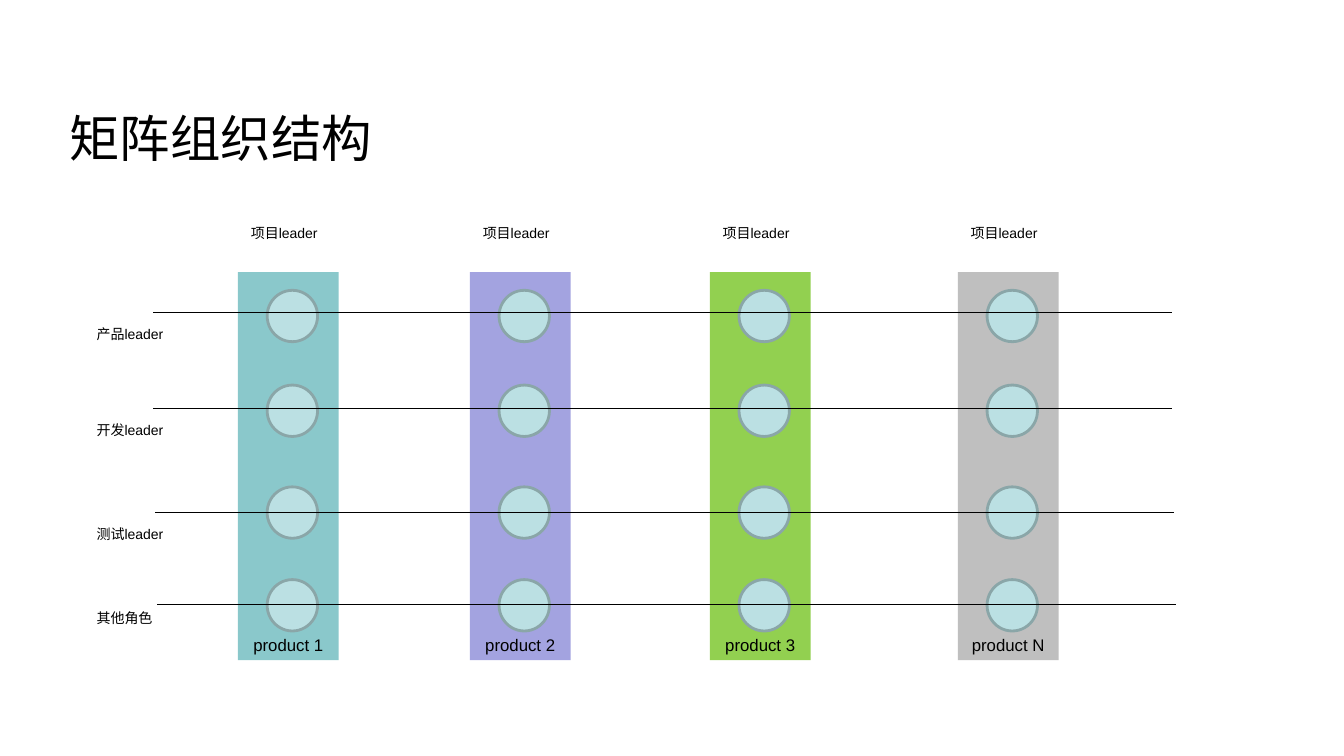
from typing import NamedTuple

from lxml import etree
from pptx import Presentation
from pptx.dml.color import RGBColor
from pptx.enum.shapes import MSO_CONNECTOR, MSO_SHAPE
from pptx.enum.text import MSO_ANCHOR, MSO_AUTO_SIZE, PP_ALIGN
from pptx.oxml.ns import qn
from pptx.util import Inches, Pt

RECT, OVAL = MSO_SHAPE.RECTANGLE, MSO_SHAPE.OVAL
STRAIGHT = MSO_CONNECTOR.STRAIGHT
TOP, MIDDLE, BOTTOM = MSO_ANCHOR.TOP, MSO_ANCHOR.MIDDLE, MSO_ANCHOR.BOTTOM
LEFT, CENTER = PP_ALIGN.LEFT, PP_ALIGN.CENTER
GROW = MSO_AUTO_SIZE.SHAPE_TO_FIT_TEXT

BLACK, CIRCLE_FILL, CIRCLE_LINE = "000000", "BBE0E3", "8AA6A8"
BAR_TOP, BAR_W, BAR_H = 2.7, 1, 3.85
CIRCLE_DX, CIRCLE_W, CIRCLE_H = 0.29, 0.5, 0.51
LINE_LENGTH = 10.1


class Product(NamedTuple):
    name: str
    left: float
    color: str


class Role(NamedTuple):
    name: str
    label_top: float
    circle_top: float
    line_left: float
    line_y: float


PRODUCTS = [
    Product("product 1", 2.36, "8AC8CB"),
    Product("product 2", 4.66, "A3A3E0"),
    Product("product 3", 7.04, "92D050"),
    Product("product N", 9.5, "BFBFBF"),
]
ROLES = [
    Role("产品leader", 3.18, 2.88, 1.52, 3.1),
    Role("开发leader", 4.13, 3.82, 1.52, 4.05),
    Role("测试leader", 5.16, 4.83, 1.54, 5.08),
    Role("其他角色", 6, 5.75, 1.56, 6),
]


def rgb(color: str) -> RGBColor:
    return RGBColor.from_string(color)


def write(sp, text: str, *, size: float, align=LEFT, anchor=TOP) -> None:
    tf = sp.text_frame
    tf.word_wrap = True
    tf.vertical_anchor = anchor
    p = tf.paragraphs[0]
    p.alignment = align
    r = p.add_run()
    r.text = text
    r.font.size = Pt(size)
    r.font.name = "Arial"
    r.font.color.rgb = rgb(BLACK)


def add_label(slide, text: str, left: float, top: float, width: float) -> None:
    sp = slide.shapes.add_textbox(Inches(left), Inches(top), Inches(width), Inches(0.27))
    write(sp, text, size=10)
    sp.text_frame.margin_right = 0
    sp.text_frame.auto_size = GROW


def add_filled(slide, kind, left: float, top: float, width: float, height: float, color: str):
    sp = slide.shapes.add_shape(kind, Inches(left), Inches(top), Inches(width), Inches(height))
    sp.shadow.inherit = False
    sp.fill.solid()
    sp.fill.fore_color.rgb = rgb(color)
    sp.line.fill.background()
    return sp


def add_product(slide, product: Product) -> None:
    bar = add_filled(slide, RECT, product.left, BAR_TOP, BAR_W, BAR_H, product.color)
    write(bar, product.name, size=12, align=CENTER, anchor=BOTTOM)
    add_label(slide, "项目leader", product.left + 0.03, 2.18, 0.9)


def add_role(slide, role: Role) -> None:
    for product in PRODUCTS:
        circle = add_filled(slide, OVAL, product.left + CIRCLE_DX, role.circle_top,
                            CIRCLE_W, CIRCLE_H, CIRCLE_FILL)
        circle.line.color.rgb = rgb(CIRCLE_LINE)
        circle.line.width = Pt(2)
    add_label(slide, role.name, 0.86, role.label_top, 0.98)
    line = slide.shapes.add_connector(STRAIGHT, Inches(role.line_left), Inches(role.line_y),
                                      Inches(role.line_left + LINE_LENGTH), Inches(role.line_y))
    line.line.color.rgb = rgb(BLACK)
    line.line.width = Pt(0.75)
    etree.SubElement(line._element.spPr, qn("a:effectLst"))


def main() -> None:
    prs = Presentation()
    prs.slide_width, prs.slide_height = Inches(13.33), Inches(7.5)
    slide = prs.slides.add_slide(prs.slide_layouts[5])

    # Title
    title = slide.shapes.title
    title.left, title.top = Inches(0.59), Inches(0.85)
    title.width, title.height = Inches(11.97), Inches(1.02)
    write(title, "矩阵组织结构", size=36, anchor=MIDDLE)

    # Product columns
    for product in PRODUCTS:
        add_product(slide, product)

    # Role rows across the columns
    for role in ROLES:
        add_role(slide, role)

    prs.save("out.pptx")


if __name__ == "__main__":
    main()
